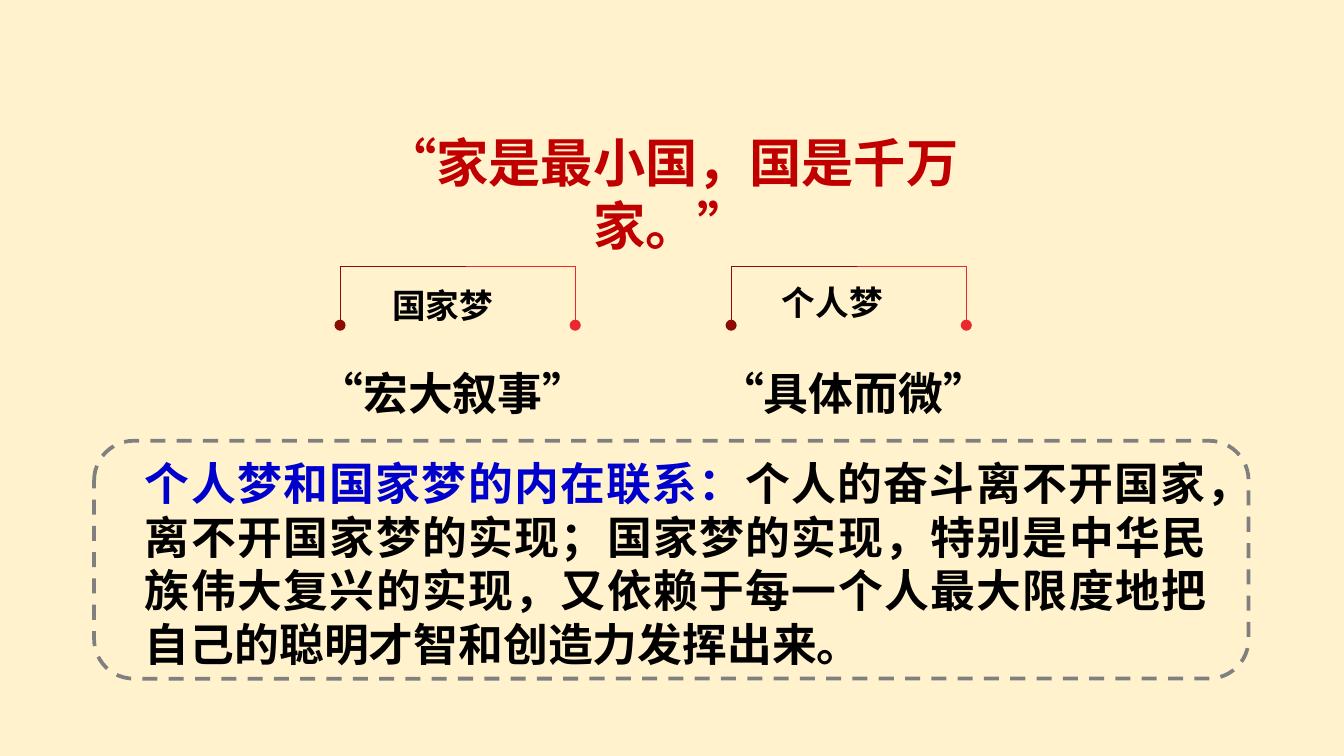
"""Builds the slide linking the national dream and the personal dream."""
from dataclasses import dataclass

from lxml import etree
from pptx import Presentation
from pptx.dml.color import RGBColor
from pptx.enum.dml import MSO_LINE
from pptx.enum.shapes import MSO_CONNECTOR, MSO_SHAPE
from pptx.enum.text import MSO_ANCHOR, MSO_AUTO_SIZE, PP_ALIGN
from pptx.oxml.ns import qn
from pptx.util import Inches, Pt

STRAIGHT = MSO_CONNECTOR.STRAIGHT
ROUNDED = MSO_SHAPE.ROUNDED_RECTANGLE
DASH = MSO_LINE.DASH
TOP = MSO_ANCHOR.TOP
FIT_SHAPE = MSO_AUTO_SIZE.SHAPE_TO_FIT_TEXT
LEFT, CENTER, JUSTIFY = PP_ALIGN.LEFT, PP_ALIGN.CENTER, PP_ALIGN.JUSTIFY


@dataclass(frozen=True)
class Theme:
    background: str = "FFF2CC"
    heading: str = "C00000"
    text: str = "000000"
    accent: str = "0000CC"
    bright: str = "E9292F"
    dark: str = "8C0C04"
    frame: str = "808080"
    heading_size: int = 28
    body_size: int = 24
    label_size: int = 18
    cjk: str = "Noto Sans CJK SC"
    latin: str = "Calibri"


def write(shape, runs, *, size, font, align=LEFT, inset=(0.1, 0.05)):
    frame = shape.text_frame
    frame.word_wrap = True
    frame.auto_size = FIT_SHAPE
    frame.vertical_anchor = TOP
    frame.margin_left = frame.margin_right = Inches(inset[0])
    frame.margin_top = frame.margin_bottom = Inches(inset[1])
    paragraph = frame.paragraphs[0]
    paragraph.alignment = align
    for words, color in runs:
        run = paragraph.add_run()
        run.text = words
        run.font.name = font
        run.font.size = Pt(size)
        run.font.bold = True
        run.font.color.rgb = RGBColor.from_string(color)
        latin = run.font._element.find(qn("a:latin"))
        east_asian = etree.Element(qn("a:ea"), typeface=font)
        latin.addnext(east_asian)


class DreamSlide:
    def __init__(self, slide, theme):
        self.slide = slide
        self.theme = theme
        fill = slide.background.fill
        fill.solid()
        fill.fore_color.rgb = RGBColor.from_string(theme.background)

    def title(self, words, box, **style):
        heading = self.slide.shapes.title
        heading.left, heading.top, heading.width, heading.height = map(Inches, box)
        write(heading, [(words, self.theme.heading)], **style)

    def text(self, runs, box, **style):
        write(self.slide.shapes.add_textbox(*map(Inches, box)), runs, **style)

    def line(self, start, end, color, dot=False):
        connector = self.slide.shapes.add_connector(
            STRAIGHT, *map(Inches, (*start, *end)))
        connector.line.width = Pt(0.5)
        connector.line.color.rgb = RGBColor.from_string(color)
        if dot:
            outline = connector.line._get_or_add_ln()
            etree.SubElement(outline, qn("a:tailEnd"), type="oval")
        etree.SubElement(connector._element.spPr, qn("a:effectLst"))

    def bracket(self, left, top=1.98, width=1.75, drop=0.44, half=0.94):
        right = left + width
        for edge, inner, color in (
            (right, right - half, self.theme.bright),
            (left, left + half, self.theme.dark),
        ):
            self.line((inner, top), (edge, top), color)
            self.line((edge, top), (edge, top + drop), color, dot=True)

    def dashed_frame(self, box):
        border = self.slide.shapes.add_shape(ROUNDED, *map(Inches, box))
        border.shadow.inherit = False
        border.fill.background()
        border.line.color.rgb = RGBColor.from_string(self.theme.frame)
        border.line.width = Pt(2)
        border.line.dash_style = DASH


def main():
    theme = Theme()
    deck = Presentation()
    deck.slide_width = Inches(10)
    deck.slide_height = deck.slide_width * 9 // 16
    page = DreamSlide(deck.slides.add_slide(deck.slide_layouts[5]), theme)
    tight = (0.07, 0.04)

    page.title("“家是最小国，国是千万家。”", (2.29, 0.93, 5.41, 0.55),
               size=theme.heading_size, font=theme.cjk, align=CENTER, inset=tight)

    dreams = (
        ("国家梦", (2.82, 2.07, 1.47, 0.4), 2.53,
         "“宏大叙事”", (2.3, 2.68, 2.49, 0.48)),
        ("个人梦", (5.72, 2.05, 2.27, 0.4), 5.44,
         "“具体而微”", (5.28, 2.68, 2.59, 0.48)),
    )
    for dream, dream_box, bracket_left, trait, trait_box in dreams:
        page.text([(trait, theme.text)], trait_box,
                  size=theme.body_size, font=theme.cjk, inset=tight)
        page.text([(dream, theme.text)], dream_box,
                  size=theme.label_size, font=theme.latin)
        page.bracket(bracket_left)

    connection = [
        ("个人梦和国家梦的内在联系：", theme.accent),
        ("个人的奋斗离不开国家，离不开国家梦的实现；国家梦的实现，"
         "特别是中华民族伟大复兴的实现，又依赖于每一个人最大限度地把"
         "自己的聪明才智和创造力发挥出来。", theme.text),
    ]
    page.text(connection, (0.98, 3.34, 8.1, 1.72),
              size=theme.body_size, font=theme.cjk, align=JUSTIFY)
    page.dashed_frame((0.7, 3.28, 8.59, 1.77))

    deck.save("out.pptx")


if __name__ == "__main__":
    main()
